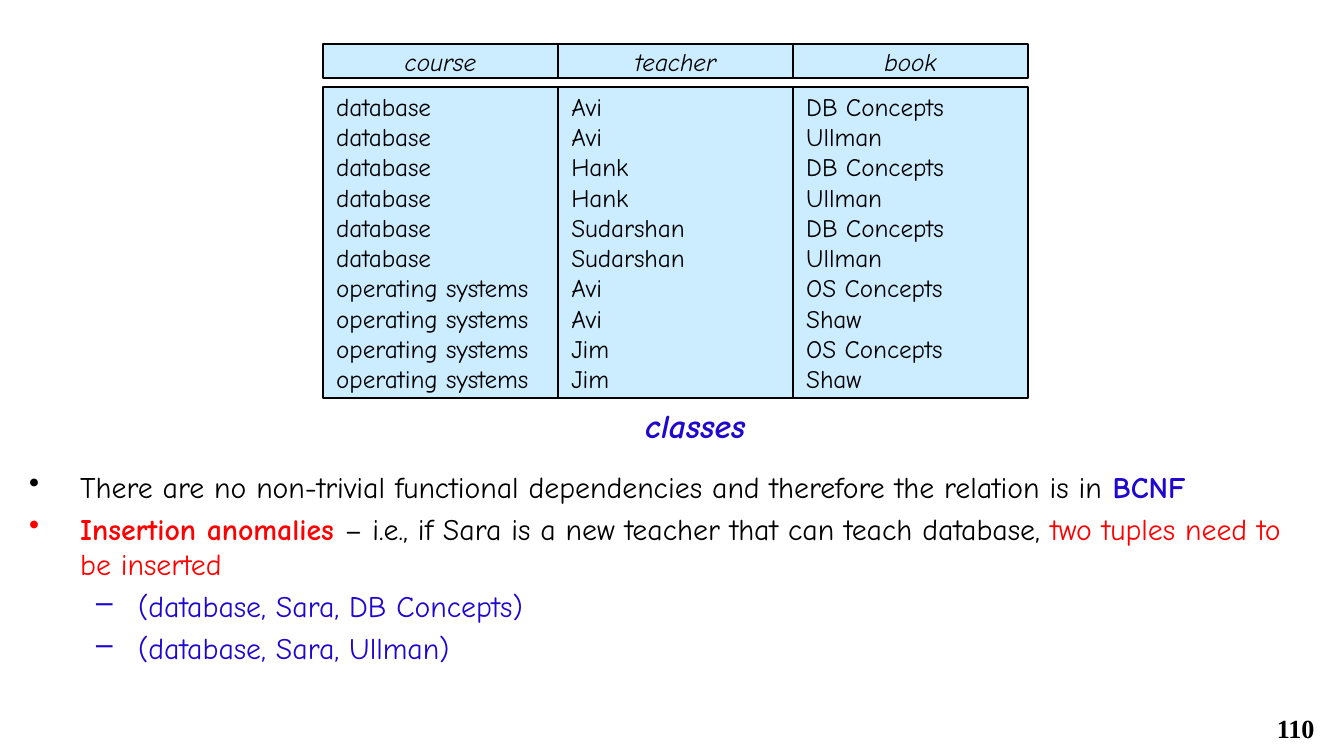
from pptx import Presentation
from pptx.dml.color import RGBColor
from pptx.enum.shapes import MSO_SHAPE as Preset
from pptx.enum.text import MSO_ANCHOR as Anchor, PP_ALIGN as Align
from pptx.oxml.ns import qn
from pptx.util import Emu, Pt
from lxml.etree import SubElement

BLACK = RGBColor(0x00, 0x00, 0x00)
RED = RGBColor(0xFF, 0x00, 0x00)
BLUE = RGBColor(0x1F, 0x07, 0xCF)
PALE_BLUE = RGBColor(0xCC, 0xEC, 0xFF)
BODY_FONT = "Comic Neue"
NUMBER_FONT = "Times New Roman"
PX_PER_INCH = 134.4


def px(length):
    return Emu(round(length * 914400 / PX_PER_INCH))


class SlideBuilder:
    def __init__(self, page):
        self.page = page

    def add_span(self, para, text, size, color=BLACK, bold=False, italic=False, font=BODY_FONT):
        span = para.add_run()
        span.text = text
        span.font.name = font
        span.font.size = Pt(size)
        span.font.color.rgb = color
        span.font.bold = bold
        span.font.italic = italic

    def paragraphs(self, frame, count):
        return [frame.paragraphs[0]] + [frame.add_paragraph() for _ in range(count - 1)]

    def text_box(self, left, top, width, height, wrap=True):
        box = self.page.shapes.add_textbox(px(left), px(top), px(width), px(height))
        box.text_frame.word_wrap = wrap
        return box.text_frame

    def label(self, left, top, width, height, text, size, align=Align.LEFT, **style):
        frame = self.text_box(left, top, width, height, wrap=False)
        para = frame.paragraphs[0]
        para.alignment = align
        self.add_span(para, text, size, **style)

    def cell(self, left, top, width, height, lines, align=Align.LEFT, italic=False):
        box = self.page.shapes.add_shape(Preset.RECTANGLE, px(left), px(top), px(width), px(height))
        box.shadow.inherit = False
        box.fill.solid()
        box.fill.fore_color.rgb = PALE_BLUE
        box.line.color.rgb = BLACK
        box.line.width = Pt(0.75)
        frame = box.text_frame
        frame.word_wrap = True
        frame.vertical_anchor = Anchor.MIDDLE
        for para, line in zip(self.paragraphs(frame, len(lines)), lines):
            para.alignment = align
            self.add_span(para, line, 13.5, italic=italic)

    def bullets(self, left, top, width, height, items):
        frame = self.text_box(left, top, width, height)
        marks = [("•", 51, 51), ("–", 109, 42)]
        for index, para in enumerate(self.paragraphs(frame, len(items))):
            level, spans = items[index]
            mark, margin, hang = marks[level]
            para.level = level
            props = para._p.get_or_add_pPr()
            props.set("marL", str(px(margin)))
            props.set("indent", str(-px(hang)))
            SubElement(props, qn("a:buChar")).set("char", mark)
            if index:
                para.space_before = Pt(3.2)
            for text, color, bold in spans:
                self.add_span(para, text, 16, color, bold)


def main():
    deck = Presentation()
    deck.slide_width, deck.slide_height = px(1344), px(756)
    builder = SlideBuilder(deck.slides.add_slide(deck.slide_layouts[6]))

    # Relation: one header cell and one tall body cell per attribute
    columns = {
        "course": ["database"] * 6 + ["operating systems"] * 4,
        "teacher": [name for name in ("Avi", "Hank", "Sudarshan", "Avi", "Jim") for _ in range(2)],
        "book": ["DB Concepts", "Ullman"] * 3 + ["OS Concepts", "Shaw"] * 2,
    }
    column_width = 235
    for index, (attribute, values) in enumerate(columns.items()):
        left = 323 + index * column_width
        builder.cell(left, 44, column_width, 34, [attribute], Align.CENTER, italic=True)
        builder.cell(left, 87, column_width, 311, values)
    builder.label(632, 398, 141, 54, "classes", 18, color=BLUE, bold=True, italic=True)

    # Remarks on the relation
    builder.bullets(16, 462, 1302, 243, [
        (0, [("There are no non-trivial functional dependencies and therefore the relation is in ", BLACK, False),
             ("BCNF", BLUE, True)]),
        (0, [("Insertion anomalies ", RED, True),
             ("– i.e., if Sara is a new teacher that can teach database, ", BLACK, False),
             ("two tuples need to be inserted", RED, False)]),
        (1, [("(database, Sara, DB Concepts)", BLUE, False)]),
        (1, [("(database, Sara, Ullman)", BLUE, False)]),
    ])

    # Page number
    builder.label(1243, 706, 85, 46, "110", 14, Align.RIGHT, bold=True, font=NUMBER_FONT)

    deck.save("out.pptx")


if __name__ == "__main__":
    main()
